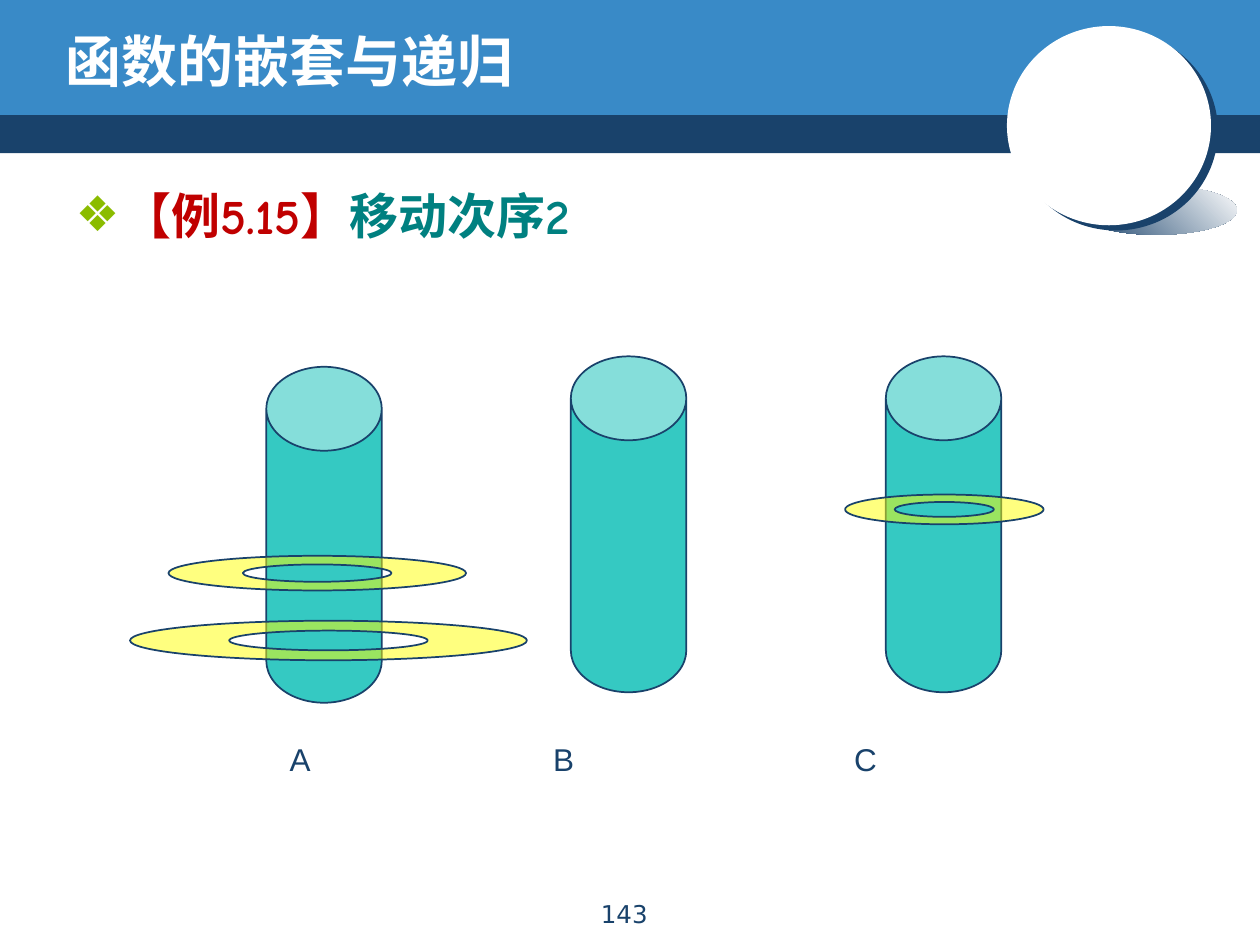
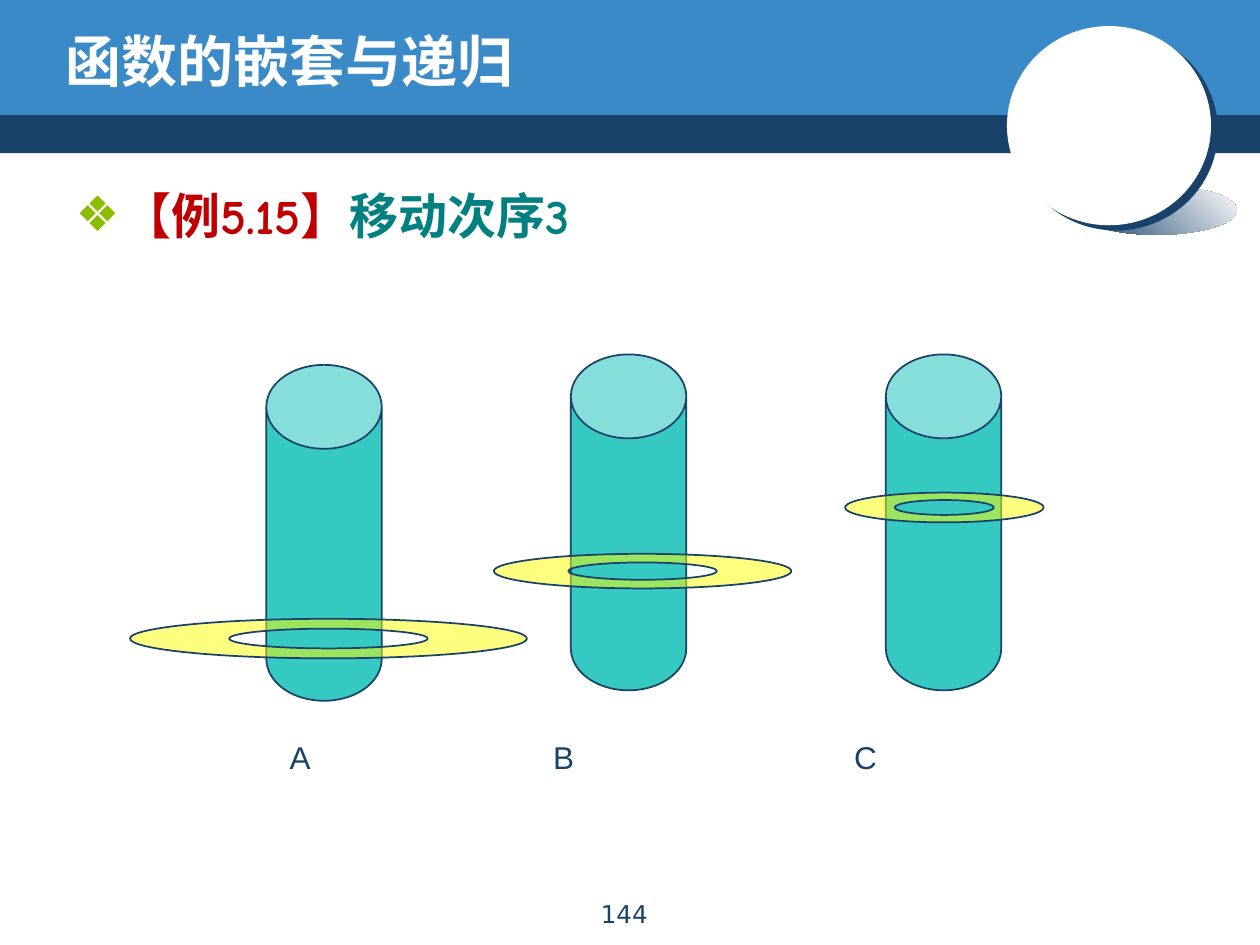
from lxml.etree import SubElement
from pptx import Presentation
from pptx.dml.color import RGBColor
from pptx.enum.shapes import MSO_SHAPE as Kind
from pptx.enum.text import MSO_ANCHOR as Anchor, MSO_AUTO_SIZE as Fit, PP_ALIGN as Align
from pptx.oxml.ns import qn
from pptx.util import Pt

HEX = {
    "navy": "19426B", "blue": "398AC7", "white": "FFFFFF", "lime": "8BBC00",
    "red": "C00000", "teal": "008080", "peg": "35C9C2", "ring": "FFFF00",
}
HEAD = "函数的嵌套与递归"
CASE = "【例5.15】"
PEGS = {"A": (152.2, 209.6), "B": (326.2, 203.6), "C": (506.2, 203.6)}
PEG_SIZE = (66, 192)
TABS = (150.6, 322.6)
RINGS = {
    "small": (291.1, 113.4, 17),
    "mid": (327.5, 170, 19.8),
    "large": (366, 226.8, 22.6),
}
STEPS = [
    {"move": "移动次序2", "page": "143", "lift": 0,
     "rings": {"small": 539.6, "mid": 181.3, "large": 187.7}},
    {"move": "移动次序3", "page": "144", "lift": 1.1,
     "rings": {"small": 539.6, "mid": 367.2, "large": 187.7}},
]
BEND = 0.55
ARC = [
    (-1, 0), (-1, -BEND), (-BEND, -1), (0, -1), (BEND, -1), (1, -BEND), (1, 0),
    (1, BEND), (BEND, 1), (0, 1), (-BEND, 1), (-1, BEND), (-1, 0),
]


def rgb(name):
    return RGBColor.from_string(HEX[name])


def paint(shape, fill, line=None):
    shape.shadow.inherit = False
    shape.fill.solid()
    shape.fill.fore_color.rgb = rgb(fill)
    if line:
        shape.line.color.rgb = rgb(line)
        shape.line.width = Pt(1)
    else:
        shape.line.fill.background()


def place(shape, *box):
    shape.left, shape.top, shape.width, shape.height = map(Pt, box)


def style(part, face, size, color, bold=None):
    font = part.font
    font.name, font.size, font.bold = face, Pt(size), bold
    font.color.rgb = rgb(color)


def add(slide, kind, box, fill, line=None):
    shape = slide.shapes.add_shape(kind, *map(Pt, box))
    paint(shape, fill, line)
    return shape


def add_text(slide, box, text, face, size):
    shape = slide.shapes.add_textbox(*map(Pt, box))
    shape.text_frame.word_wrap = True
    para = shape.text_frame.paragraphs[0]
    para.text = text
    style(para, face, size, "navy")
    return para


def add_frame(slide, layout):
    dark = add(slide, Kind.RECTANGLE, (0, 62.5, 720, 25), "navy")
    band = add(slide, Kind.RECTANGLE, (0, 0, 720, 65.7), "blue")
    shade = add(slide, Kind.OVAL, (615, 106, 91.8, 28.2), "white")
    shade.fill.gradient()
    shade.fill.gradient_angle = 45
    for stop, name, spot in zip(shade.fill.gradient_stops, ("navy", "white"), (0, 1)):
        stop.color.rgb = rgb(name)
        stop.position = spot
    ball = add(slide, Kind.OVAL, (575.4, 14.9, 116.6, 113.8), "white")
    glow = SubElement(ball.element.spPr.find(qn("a:effectLst")), qn("a:outerShdw"),
                      blurRad="0", dist=str(Pt(5)), dir="2220000",
                      algn="ctr", rotWithShape="0")
    SubElement(glow, qn("a:srgbClr"), val=HEX["navy"])
    shine = add(slide, Kind.OVAL, (615, 49, 41, 42.5), "white")
    for n, shape in enumerate((dark, band, shade, ball, shine)):
        shape.element.nvSpPr.cNvPr.set("id", str(20 + n))
        layout.shapes.element.insert(2 + n, shape.element)
    place(layout.placeholders[0], 30.2, 12.2, 581.8, 44.6)
    place(layout.placeholders[1], 36, 102.2, 642.2, 43.9)


def oval(x, y, wide, high):
    return [(Pt(x + wide / 2 * u), Pt(y + high / 2 * v)) for u, v in ARC]


def curve(shape):
    lines = list(shape.element.iter(qn("a:lnTo")))
    for n in range(0, len(lines), 3):
        bend = lines[n]
        arc = SubElement(bend.getparent(), qn("a:cubicBezTo"))
        bend.addprevious(arc)
        for line in lines[n:n + 3]:
            arc.append(line[0])
            line.getparent().remove(line)


def add_ring(slide, x, y, wide, high):
    rim = oval(x, y, wide, high)
    hole = oval(x, y, wide / 2, high / 2)[::-1]
    path = slide.shapes.build_freeform(*rim[0], scale=1.0)
    path.add_line_segments(rim[1:], close=True)
    path.move_to(*hole[0])
    path.add_line_segments(hole[1:], close=True)
    ring = path.convert_to_shape()
    curve(ring)
    paint(ring, "ring", "navy")
    tint = ring.element.spPr.find(qn("a:solidFill")).find(qn("a:srgbClr"))
    SubElement(tint, qn("a:alpha"), val="50000")


def add_heads(slide, move):
    frame = slide.shapes.title.text_frame
    frame.text = HEAD
    frame.auto_size = Fit.NONE
    frame.vertical_anchor = Anchor.MIDDLE
    para = frame.paragraphs[0]
    para.alignment = Align.LEFT
    style(para, "Comic Neue", 32, "white", True)

    frame = slide.placeholders[1].text_frame
    frame.auto_size = Fit.NONE
    para = frame.paragraphs[0]
    for text, color in ((CASE, "red"), (move, "teal")):
        run = para.add_run()
        run.text = text
        style(run, "Comic Neue", 28, color, True)
    props = para._p.get_or_add_pPr()
    SubElement(SubElement(props, qn("a:buClr")), qn("a:srgbClr"), val=HEX["lime"])
    SubElement(props, qn("a:buChar"), char="❖")


def add_step(slide, step):
    add_heads(slide, step["move"])
    para = add_text(slide, (291.6, 510.2, 130.3, 23), step["page"], "DejaVu Sans", 14)
    para.alignment = Align.CENTER
    lift = step["lift"]
    for x, y in PEGS.values():
        peg = add(slide, Kind.CAN, (x, y - lift, *PEG_SIZE), "peg", "navy")
        peg.adjustments[0] = 0.727
    for name, x in step["rings"].items():
        y, wide, high = RINGS[name]
        add_ring(slide, x, y - lift, wide, high)
    box = (158.4, 419.5 - lift, 432, 36)
    para = add_text(slide, box, "\t".join(PEGS), "Arial", 18)
    props = para._p.get_or_add_pPr()
    tabs = SubElement(props, qn("a:tabLst"))
    for tab in TABS:
        SubElement(tabs, qn("a:tab"), pos=str(Pt(tab)), algn="l")
    props.find(qn("a:defRPr")).addprevious(tabs)


def main():
    deck = Presentation()
    deck.slide_width, deck.slide_height = Pt(720), Pt(540)
    layout = deck.slide_layouts[1]
    slides = [deck.slides.add_slide(layout) for _ in STEPS]
    add_frame(slides[0], layout)
    for slide, step in zip(slides, STEPS):
        add_step(slide, step)
    deck.save("out.pptx")


if __name__ == "__main__":
    main()
